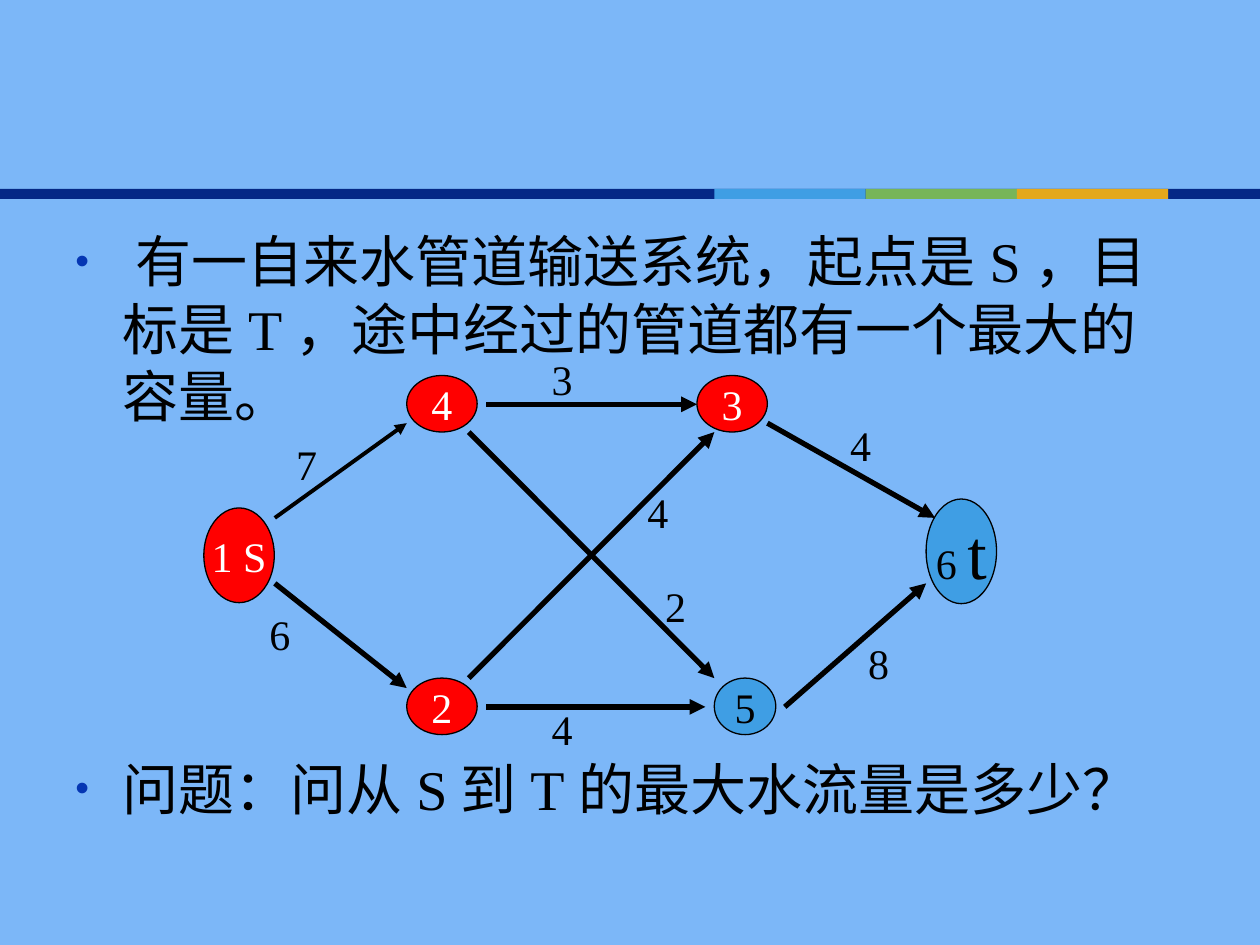
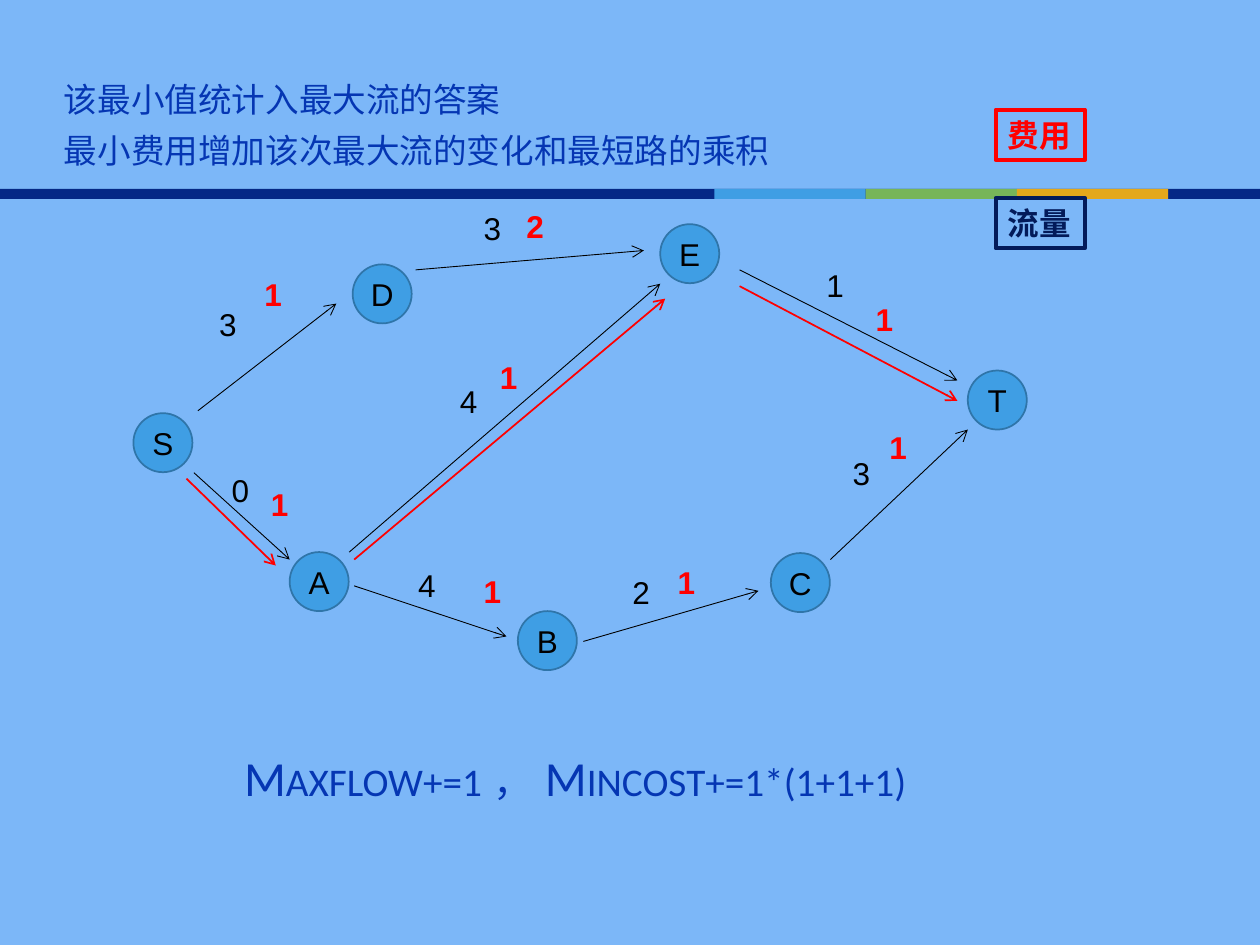
from lxml import etree
from pptx import Presentation
from pptx.dml.color import RGBColor
from pptx.enum import shapes, text
from pptx.oxml import ns
from pptx.util import Cm, Pt

COLOURS = {
    "background": "7CB7F8", "navy": "042886", "sky": "3F9EE4",
    "green": "77B559", "amber": "E4A81B", "blue": "0536B3",
    "rim": "2F75A9", "flow": "031B5A", "red": "FF0000",
    "black": "000000", "white": "FFFFFF",
}
RGB = {name: RGBColor.from_string(value) for name, value in COLOURS.items()}
SERIF, SANS, HEADING = "Times New Roman", "Arial", "Calibri"


def write(paragraph, words, size, font, colour, bold=False, small_caps=False):
    run = paragraph.add_run()
    run.text = words
    run.font.size, run.font.name, run.font.bold = Pt(size), font, bold
    run.font.color.rgb = RGB[colour]
    if small_caps:
        run.font._element.set("cap", "small")


def arrow(slide, ends, colour, width, head):
    line = slide.shapes.add_connector(
        shapes.MSO_CONNECTOR.STRAIGHT, *[Cm(value) for value in ends])
    line.line.color.rgb = RGB[colour]
    line.line.width = Pt(width)
    etree.SubElement(line.line._get_or_add_ln(), ns.qn("a:tailEnd"), type=head)
    etree.SubElement(line._element.spPr, ns.qn("a:effectLst"))


deck = Presentation()
deck.slide_width, deck.slide_height = Cm(25.4), Cm(19.05)

# Shared background and colour band
BAND = [(0, 25.4, "navy")] + [
    (14.4 + 3.05 * i, 3.05, colour)
    for i, colour in enumerate(["sky", "green", "amber"])]
for _ in range(2):
    slide = deck.slides.add_slide(deck.slide_layouts[6])
    slide.background.fill.solid()
    slide.background.fill.fore_color.rgb = RGB["background"]
    for left, width, colour in BAND:
        strip = slide.shapes.add_shape(
            shapes.MSO_SHAPE.RECTANGLE, Cm(left), Cm(3.81), Cm(width), Cm(0.2))
        strip.shadow.inherit = False
        strip.fill.solid()
        strip.fill.fore_color.rgb = RGB[colour]
        strip.line.fill.background()
pipes, answer = deck.slides

# Slide 1: problem and question, with room for the network between them
problem = pipes.shapes.add_textbox(Cm(1.27), Cm(4.45), Cm(22.86), Cm(12.57)).text_frame
problem.word_wrap = True
problem.add_paragraph()
sentences = [
    (" 有一自来水管道输送系统，起点是S，目标是T，途中经过的管道都有一个最大的容量。", 0),
    ("问题：问从S到T的最大水流量是多少？", 186),
]
for paragraph, (sentence, gap) in zip(problem.paragraphs, sentences):
    paragraph.space_before = Pt(gap)
    write(paragraph, sentence, 32, SERIF, "black")
    properties = paragraph._p.get_or_add_pPr()
    properties.set("marL", str(Cm(0.95)))
    properties.set("indent", str(-Cm(0.95)))
    bullet_colour = etree.SubElement(properties, ns.qn("a:buClr"))
    etree.SubElement(bullet_colour, ns.qn("a:srgbClr"), val=COLOURS["blue"])
    etree.SubElement(properties, ns.qn("a:buSzPct"), val="70000")
    etree.SubElement(properties, ns.qn("a:buFont"), typeface=SANS)
    etree.SubElement(properties, ns.qn("a:buChar"), char="•")

# Slide 1: stations (left, top, width, height, fill, text colour, runs)
stations = [
    (4.11, 10.24, 1.42, 1.91, "red", "white", [("1 S", 24)]),
    (8.2, 7.57, 1.42, 1.14, "red", "white", [("4", 24)]),
    (14.05, 7.57, 1.42, 1.14, "red", "white", [("3", 24)]),
    (8.2, 13.67, 1.42, 1.14, "red", "white", [("2", 24)]),
    (14.4, 13.67, 1.24, 1.14, "sky", "black", [("5", 24)]),
    (18.67, 10.06, 1.42, 2.11, "sky", "black", [("6 ", 24), ("t", 40)]),
]
# Slide 2: nodes share one size
nodes = [
    (left, top, 1.19, 1.19, "sky", "black", [(letter, 18)])
    for letter, left, top in [
        ("S", 2.69, 8.33), ("D", 7.11, 5.33), ("E", 13.31, 4.52),
        ("T", 19.51, 7.47), ("A", 5.84, 11.13), ("B", 10.44, 12.32),
        ("C", 15.54, 11.15)]]
networks = [
    (pipes, stations, shapes.MSO_SHAPE.OVAL, SERIF, "black", 0.75),
    (answer, nodes, shapes.MSO_SHAPE.FLOWCHART_CONNECTOR, SANS, "rim", 1),
]
for slide, points, outline, font, rim, rim_width in networks:
    for left, top, width, height, fill, ink, runs in points:
        node = slide.shapes.add_shape(
            outline, Cm(left), Cm(top), Cm(width), Cm(height))
        node.shadow.inherit = False
        node.fill.solid()
        node.fill.fore_color.rgb = RGB[fill]
        node.line.color.rgb = RGB[rim]
        node.line.width = Pt(rim_width)
        frame = node.text_frame
        frame.word_wrap = False
        frame.vertical_anchor = text.MSO_ANCHOR.MIDDLE
        frame.paragraphs[0].alignment = text.PP_ALIGN.CENTER
        for words, size in runs:
            write(frame.paragraphs[0], words, size, font, ink)

# Slide 1: pipes (ends, line width) and their capacities
for ends, width in [
    ((5.54, 10.44, 8.2, 8.53), 2.25),
    ((5.54, 11.76, 8.2, 13.87), 3),
    ((9.8, 14.25, 14.22, 14.25), 3),
    ((9.8, 8.15, 14.05, 8.15), 3),
    ((15.47, 8.53, 18.85, 10.44), 3),
    ((15.82, 14.25, 18.67, 11.76), 3),
    ((9.45, 8.71, 14.4, 13.67), 3),
    ((9.45, 13.67, 14.4, 8.71), 3),
]:
    arrow(pipes, ends, "black", width, "triangle")

for capacity, left, top, width in [
    ("7", 5.72, 8.71, 1.07), ("3", 10.87, 7.01, 1.96),
    ("4", 10.87, 14.05, 2.49), ("8", 17.25, 12.73, 1.96),
    ("4", 16.89, 8.33, 1.78), ("2", 13.16, 11.58, 2.31),
    ("4", 12.8, 9.68, 1.42), ("6", 5.18, 12.14, 1.6),
]:
    label = pipes.shapes.add_textbox(Cm(left), Cm(top), Cm(width), Cm(1.27))
    label.text_frame.word_wrap = True
    write(label.text_frame.paragraphs[0], capacity, 24, SERIF, "black")

# Slide 2: edges, each with its flow and its cost (value, left, top)
edges = [
    ((3.99, 8.28, 6.78, 6.12), ("3", 4.17, 6.02), ("1", 5.08, 5.41)),
    ((8.38, 5.44, 12.98, 5.05), ("3", 9.5, 4.09), ("2", 10.36, 4.04)),
    ((14.91, 5.44, 19.3, 7.67), ("1", 16.41, 5.23), ("1", 17.4, 5.92)),
    ((3.91, 9.53, 5.84, 11.28), ("0", 4.42, 9.37), ("1", 5.21, 9.65)),
    ((7.14, 11.81, 10.21, 12.83), ("4", 8.18, 11.28), ("1", 9.5, 11.4)),
    ((7.04, 11.13, 13.31, 5.72), ("4", 9.02, 7.57), ("1", 9.83, 7.09)),
    ((11.76, 12.93, 15.29, 11.91), ("2", 12.5, 11.43), ("1", 13.41, 11.23)),
    ((16.74, 11.28, 19.51, 8.66), ("3", 16.94, 9.02), ("1", 17.68, 8.51)),
]
for ends, flow, cost in edges:
    arrow(answer, ends, "black", 0.5, "arrow")
    for (value, left, top), colour, bold in [(flow, "black", False), (cost, "red", True)]:
        label = answer.shapes.add_textbox(Cm(left), Cm(top), Cm(0.88), Cm(1.02))
        label.text_frame.word_wrap = False
        write(label.text_frame.paragraphs[0], value, 18, SANS, colour, bold)

# Slide 2: chosen shortest path
for ends in [(3.76, 9.65, 5.56, 11.4), (7.14, 11.28, 13.41, 6.02),
             (14.91, 5.77, 19.3, 8.08)]:
    arrow(answer, ends, "red", 1, "arrow")

# Slide 2: legend
for meaning, top, colour in [("费用", 2.21, "red"), ("流量", 3.99, "flow")]:
    key = answer.shapes.add_shape(
        shapes.MSO_SHAPE.RECTANGLE, Cm(20.07), Cm(top), Cm(1.8), Cm(1.02))
    key.shadow.inherit = False
    key.fill.background()
    key.line.color.rgb = RGB[colour]
    key.line.width = Pt(2.25)
    key.text_frame.word_wrap = False
    key.text_frame.vertical_anchor = text.MSO_ANCHOR.TOP
    key.text_frame.paragraphs[0].alignment = text.PP_ALIGN.LEFT
    write(key.text_frame.paragraphs[0], meaning, 18, SANS, colour, bold=True)

# Slide 2: heading and running totals
for left, top, width, height, size, lines in [
    (1.04, 1.3, 18.47, 2.31, 24,
     ["该最小值统计入最大流的答案", "最小费用增加该次最大流的变化和最短路的乘积"]),
    (4.67, 14.94, 18.11, 1.45, 28, ["Maxflow+=1，Mincost+=1*(1+1+1)"]),
]:
    statement = answer.shapes.add_textbox(
        Cm(left), Cm(top), Cm(width), Cm(height)).text_frame
    statement.word_wrap = True
    for i, line in enumerate(lines):
        paragraph = statement.add_paragraph() if i else statement.paragraphs[0]
        write(paragraph, line, size, HEADING, "blue", small_caps=True)

deck.save("out.pptx")
